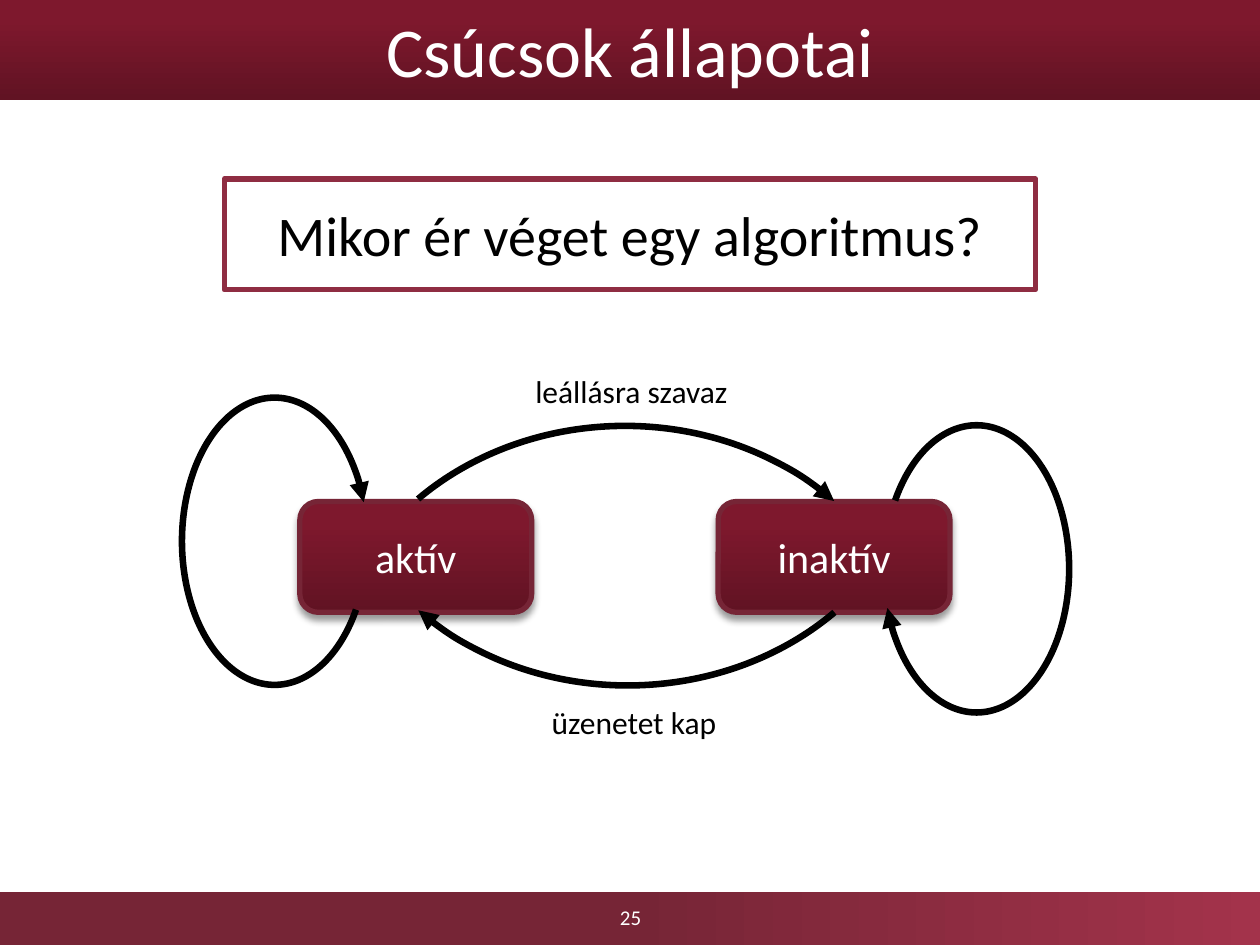
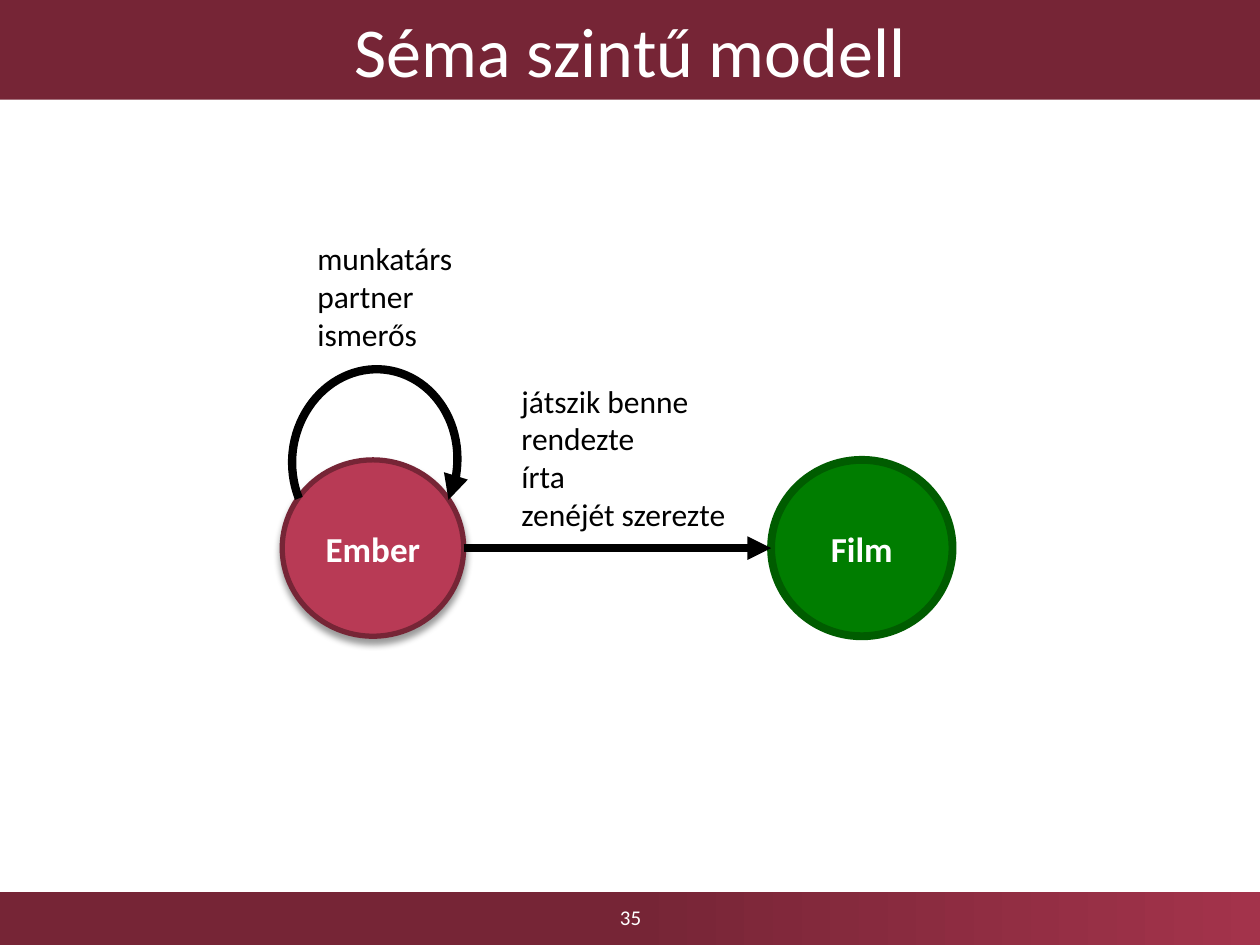
from lxml import etree
from pptx import Presentation
from pptx import util as u
from pptx.dml.color import RGBColor
from pptx.enum import shapes, text
from pptx.oxml.ns import qn

# Square grid: the slide is 100 columns by 75 rows
COLUMNS, ROWS = 100, 75
CELL = u.Inches(0.1)
FONT = "Calibri"
COLORS = {
    "white": "FFFFFF", "black": "000000", "wine": "762536", "frame": "8F2D42",
    "rose": "B83A55", "green": "007D00", "dark green": "005C00",
}
# Gradients: clockwise angle and stops (percent, colour)
BAND_GRADIENT = (0, [(0, "762536"), (50, "762536"), (100, "A3334B")])
DEEP_GRADIENT = (270, [(0, "611323"), (80, "7E182D"), (100, "81162D")])


def cells(*values):
    return [u.Emu(round(value * CELL)) for value in values]


def rgb(name):
    return RGBColor.from_string(COLORS[name])


def add_child(parent, tag, **attributes):
    child = etree.SubElement(parent, qn(tag))
    for key, value in attributes.items():
        child.set(key, str(value))
    return child


# Styling helpers
def paint(shape, fill):
    """Fill with a colour name, a gradient, or nothing."""
    if fill is None:
        shape.fill.background()
    elif isinstance(fill, str):
        shape.fill.solid()
        shape.fill.fore_color.rgb = rgb(fill)
    else:
        angle, stops = fill
        shape.fill.gradient()
        shape.fill.gradient_angle = -angle % 360
        stop_list = shape._element.spPr.find(qn("a:gradFill")).find(qn("a:gsLst"))
        for stop in list(stop_list):
            stop_list.remove(stop)
        for percent, color in stops:
            stop = add_child(stop_list, "a:gs", pos=percent * 1000)
            add_child(stop, "a:srgbClr", val=color)


def outline(shape, color, width, arrow=False):
    shape.line.color.rgb = rgb(color)
    shape.line.width = u.Pt(width)
    if arrow:
        line = shape._element.spPr.find(qn("a:ln"))
        add_child(line, "a:tailEnd", type="triangle")


def drop_shadow(shape):
    effects = shape._element.spPr.find(qn("a:effectLst"))
    shadow = add_child(effects, "a:outerShdw", blurRad=u.Pt(4), dist=u.Pt(3),
                       dir=90 * 60000, algn="ctr", rotWithShape=0)
    color = add_child(shadow, "a:srgbClr", val=COLORS["black"])
    add_child(color, "a:alpha", val=40000)


def write(shape, lines, size, color="black", bold=False, centred=True, wrap=True):
    frame = shape.text_frame
    frame.word_wrap = wrap
    frame.vertical_anchor = text.MSO_ANCHOR.MIDDLE if centred else text.MSO_ANCHOR.TOP
    frame.text = "\n".join(lines)
    for paragraph in frame.paragraphs:
        paragraph.alignment = text.PP_ALIGN.CENTER if centred else text.PP_ALIGN.LEFT
        font = paragraph.font
        font.name, font.size, font.bold = FONT, u.Pt(size), bold
        font.color.rgb = rgb(color)


# Elements
def add_box(slide, kind, box, fill=None, line=None, shadow=False):
    shape = slide.shapes.add_shape(kind, *cells(*box))
    shape.shadow.inherit = False
    paint(shape, fill)
    if line:
        outline(shape, *line)
    else:
        shape.line.fill.background()
    if shadow:
        drop_shadow(shape)
    return shape


def add_label(slide, box, *lines, wrap=True):
    label = slide.shapes.add_textbox(*cells(*box))
    write(label, lines, 18, centred=False, wrap=wrap)


def add_arc_arrow(slide, centre, size, start, end, rotation=0, width=3.75):
    """Arc from start to end (degrees) of an ellipse, with an arrowhead."""
    (x, y), (w, h) = centre, size
    arc = add_box(slide, shapes.MSO_SHAPE.ARC, (x - w / 2, y - h / 2, w, h))
    arc.adjustments[0] = start * 0.6
    arc.adjustments[1] = end * 0.6
    arc.rotation = rotation
    outline(arc, "black", width, arrow=True)


def add_arrow(slide, start, end):
    arrow = slide.shapes.add_connector(
        shapes.MSO_CONNECTOR.STRAIGHT, *cells(*start, *end))
    outline(arrow, "black", 4.5, arrow=True)
    add_child(arrow._element.spPr, "a:effectLst")


def add_slide(presentation, title, number, title_fill):
    """Blank slide with the footer band, title band and slide number."""
    slide = presentation.slides.add_slide(presentation.slide_layouts[6])
    rectangle = shapes.MSO_SHAPE.RECTANGLE
    add_box(slide, rectangle, (0, 70.8, COLUMNS, 4.2), BAND_GRADIENT)
    band = add_box(slide, rectangle, (0, 0, COLUMNS, 7.9), title_fill)
    write(band, [title], 40, "white")
    page = slide.shapes.add_textbox(*cells(38.8, 70.8, 22.5, 4))
    write(page, [str(number)], 12, "white")
    return slide


# Slides
def build_states(presentation):
    slide = add_slide(presentation, "Csúcsok állapotai", 25, DEEP_GRADIENT)

    # The two states
    for column, name in enumerate(["aktív", "inaktív"]):
        state = add_box(slide, shapes.MSO_SHAPE.ROUNDED_RECTANGLE,
                        (23.8 + 33.2 * column, 39.8, 18.4, 8.8),
                        DEEP_GRADIENT, ("wine", 3), shadow=True)
        write(state, [name], 24, "white")

    # Transitions between the states, then the loops on each
    for centre, rotation in [((49.6, 54.4), 0), ((49.8, 33.8), 180)]:
        add_arc_arrow(slide, centre, (47.2, 41.2), 222.02, 318.61, rotation)
    for centre, rotation in [((21.8, 42.95), 270), ((77.5, 45.15), 90)]:
        add_arc_arrow(slide, centre, (22.8, 14.7), 130.03, 66.28, rotation)
    add_label(slide, (42.8, 55.3, 15.7, 4), "üzenetet kap")
    add_label(slide, (41.5, 29, 18.3, 4), "leállásra szavaz")

    # Framed question
    question = add_box(slide, shapes.MSO_SHAPE.RECTANGLE,
                       (17.8, 14.2, 64.4, 8.8), line=("frame", 3))
    write(question, ["Mikor ér véget egy algoritmus?"], 32)


def build_schema(presentation):
    slide = add_slide(presentation, "Séma szintű modell", 35, "wine")

    # Node types
    top, width, height = 36.5, 14.4, 14
    person_left, film_left = 22.4, 61.2
    nodes = [
        ("Ember", person_left, "rose", ("wine", 3), True),
        ("Film", film_left, "green", ("dark green", 4.5), False),
    ]
    for name, left, fill, line, shadow in nodes:
        node = add_box(slide, shapes.MSO_SHAPE.OVAL, (left, top, width, height),
                       fill, line, shadow)
        write(node, [name], 20, "white", bold=True)

    # Relations
    add_arc_arrow(slide, (29.75, 36.55), (13.1, 14.5), 147.05, 21.66, 6.4, 4.75)
    add_label(slide, (24.2, 18.5, 12.8, 10.1), "munkatárs", "partner", "ismerős",
              wrap=False)
    middle = top + height / 2
    add_arrow(slide, (person_left + width, middle), (film_left, middle))
    add_label(slide, (40.4, 29.8, 19.1, 13.1),
              "játszik benne", "rendezte", "írta", "zenéjét szerezte")


def main():
    presentation = Presentation()
    presentation.slide_width, presentation.slide_height = cells(COLUMNS, ROWS)
    build_states(presentation)
    build_schema(presentation)
    presentation.save("out.pptx")


if __name__ == "__main__":
    main()
